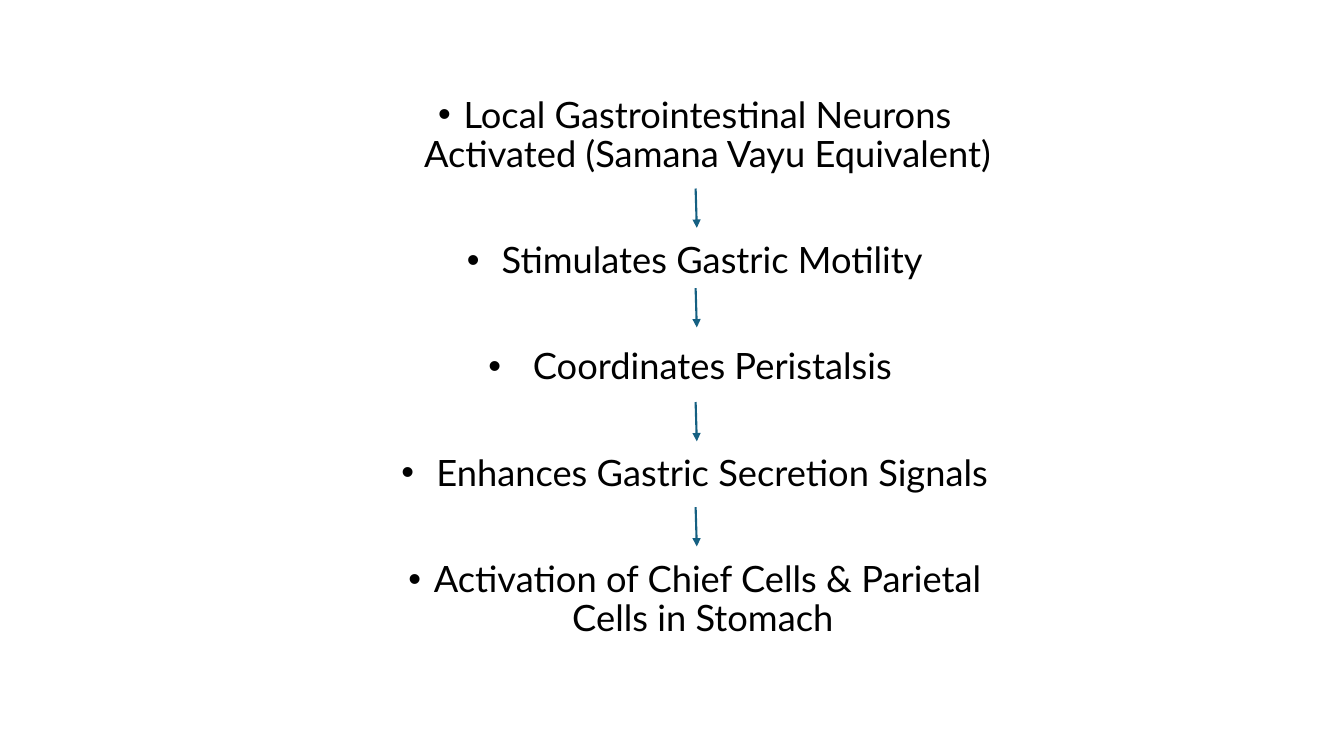
from lxml import etree
from pptx import Presentation
from pptx import util as u
from pptx.dml.color import RGBColor
from pptx.enum import shapes, text
from pptx.oxml import ns

BLACK = RGBColor(0x00, 0x00, 0x00)
TEAL = RGBColor(0x15, 0x60, 0x82)

# Each step with the gap in cm between its bullet and its words
STEPS = [
    ("Local Gastrointestinal Neurons Activated (Samana Vayu Equivalent)", 0.64),
    ("Stimulates Gastric Motility", 0.88),
    ("Coordinates Peristalsis ", 1.12),
    ("Enhances Gastric Secretion Signals", 0.88),
    ("Activation of Chief Cells & Parietal Cells in Stomach ", 0.64),
]
ARROW_TOPS = [4.75, 7.26, 10.13, 12.78]


def write(para, words, font="Lato", size=25.9, color=BLACK, gap=0.64, before=0):
    """Fill a centred bullet paragraph."""
    props = para._p.get_or_add_pPr()
    props.set("marL", str(u.Cm(gap)))
    props.set("indent", str(-u.Cm(gap)))
    face = etree.SubElement(props, ns.qn("a:buFont"))
    face.set("typeface", "Arial")
    etree.SubElement(props, ns.qn("a:buChar")).set("char", "•")
    para.alignment = text.PP_ALIGN.CENTER
    para.line_spacing = 0.9
    para.space_before = u.Pt(before)
    run = para.add_run()
    run.text = words
    run.font.name = font
    run.font.size = u.Pt(size)
    run.font.color.rgb = color


class Deck:
    def __init__(self):
        self.prs = Presentation()
        self.prs.slide_width = u.Cm(33.87)
        self.prs.slide_height = u.Cm(19.05)
        self.slide = self.prs.slides.add_slide(self.prs.slide_layouts[1])
        title = self.slide.shapes.title
        title.element.getparent().remove(title.element)

    def steps(self, items, left, top, width, height):
        body = self.slide.placeholders[1]
        body.left, body.top = u.Cm(left), u.Cm(top)
        body.width, body.height = u.Cm(width), u.Cm(height)
        frame = body.text_frame
        frame.word_wrap = True
        frame.auto_size = text.MSO_AUTO_SIZE.NONE
        frame.vertical_anchor = text.MSO_ANCHOR.TOP
        for i, (words, gap) in enumerate(items):
            para = frame.add_paragraph() if i else frame.paragraphs[0]
            write(para, words, gap=gap, before=48 if i else 0)

    def arrow(self, left, top, width=0.03, height=0.99):
        line = self.slide.shapes.add_connector(
            shapes.MSO_CONNECTOR.STRAIGHT, u.Cm(left), u.Cm(top),
            u.Cm(left + width), u.Cm(top + height))
        line.line.color.rgb = TEAL
        line.line.width = u.Pt(1.5)
        props = line.element.spPr
        head = etree.SubElement(props.find(ns.qn("a:ln")), ns.qn("a:tailEnd"))
        head.set("type", "triangle")
        etree.SubElement(props, ns.qn("a:effectLst"))


def main():
    deck = Deck()
    # Steps of the pathway
    deck.steps(STEPS, 9.75, 2.31, 15.52, 14.43)
    # Arrows between the steps
    for top in ARROW_TOPS:
        deck.arrow(17.53, top)
    deck.prs.save("out.pptx")


if __name__ == "__main__":
    main()
